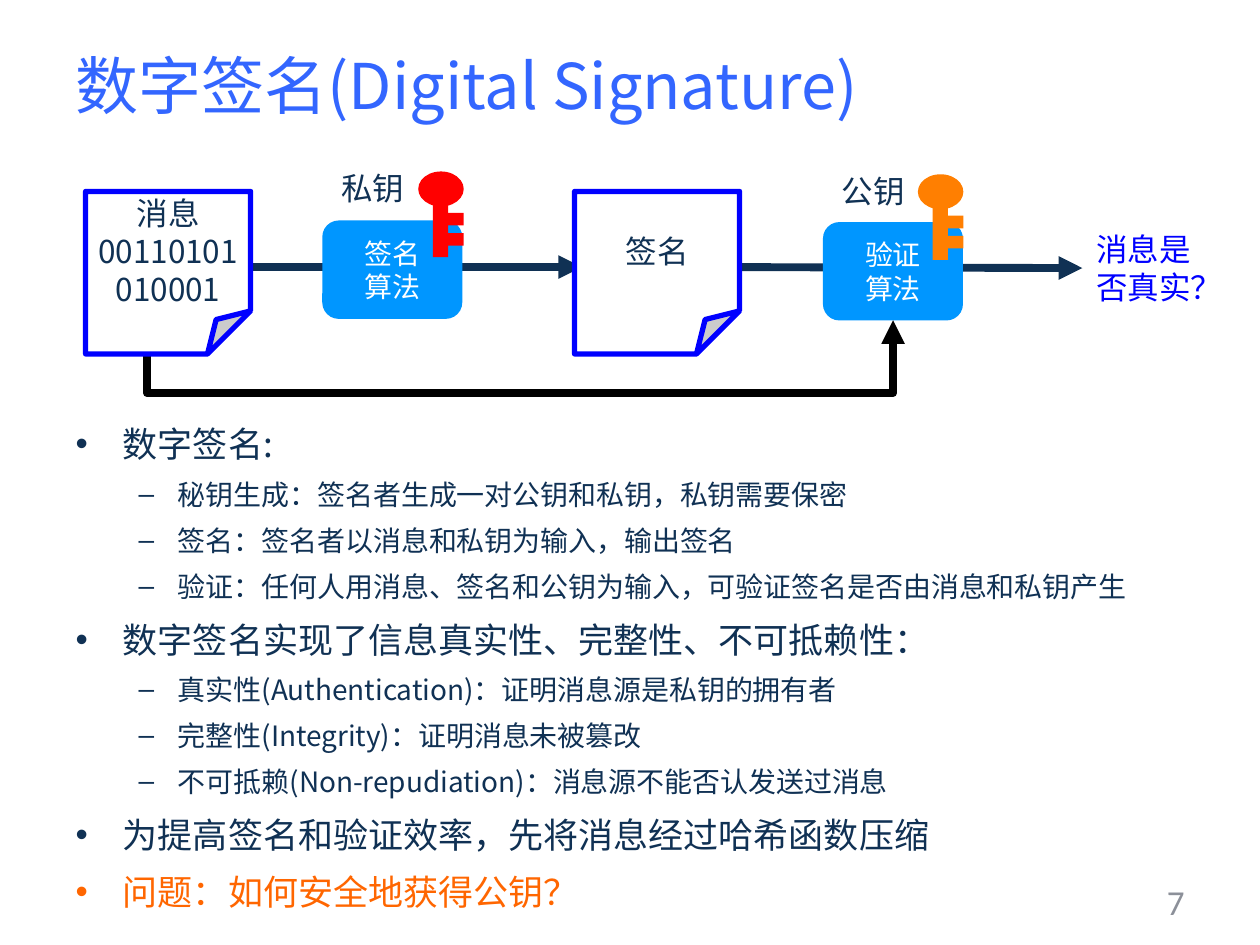
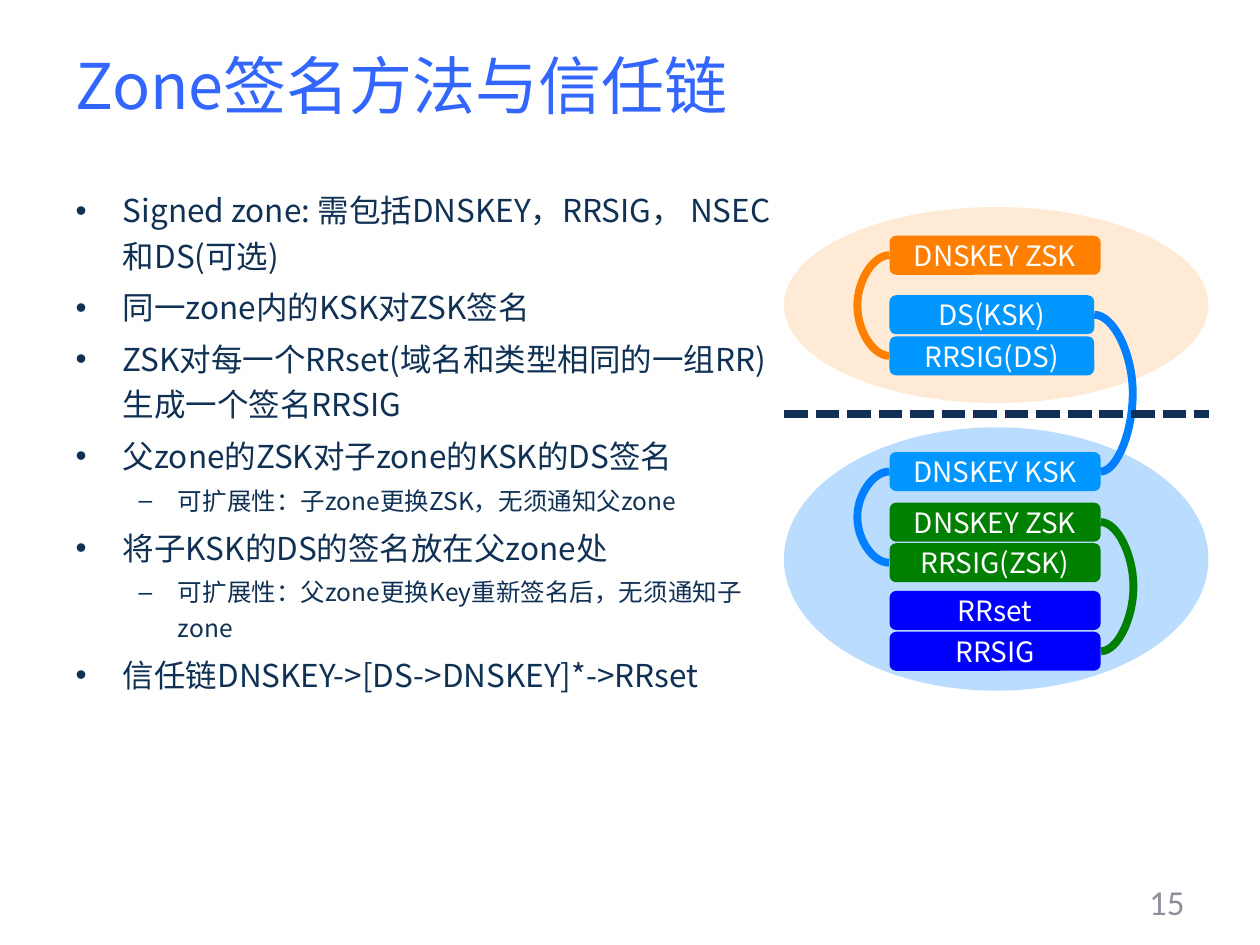
import pptx
import pptx.util
import pptx.dml.color
import pptx.enum.dml
import pptx.enum.shapes
import pptx.enum.text
import pptx.oxml
import pptx.oxml.ns
import lxml.etree

Pt = pptx.util.Pt
PRESET = pptx.enum.shapes.MSO_SHAPE
CONNECTOR = pptx.enum.shapes.MSO_CONNECTOR
ALIGN = pptx.enum.text.PP_ALIGN
ANCHOR = pptx.enum.text.MSO_ANCHOR
qn = pptx.oxml.ns.qn

CJK_FONT = "Noto Sans CJK SC"
NUMBER_FONT = "Calibri"
TITLE_BLUE = "3366FF"
NAVY = "103154"
GREY = "8C9099"
WHITE = "FFFFFF"
BLACK = "000000"
SKY = "0096FF"
LINK_BLUE = "0080FF"
PURE_BLUE = "0000FF"
GREEN = "008000"
RED = "FF0000"
ORANGE = "FF7F01"
PEACH = "FFB267"
QUESTION_ORANGE = "FF6600"

STROKE = 4.5
RECORD_LEFT = 508.3
RECORD_HEIGHT = 22.3


def rgb(hex_color):
    return pptx.dml.color.RGBColor.from_string(hex_color)


def style_paragraph(paragraph, size, color, align=None, font=CJK_FONT):
    paragraph.alignment = align
    for run in paragraph.runs:
        run.font.name = font
        run.font.size = Pt(size)
        run.font.color.rgb = rgb(color)
        east_asian = lxml.etree.SubElement(run.font._element, qn("a:ea"))
        east_asian.set("typeface", font)


def write(frame, text, size, color, align=None, font=CJK_FONT):
    frame.text = text
    for paragraph in frame.paragraphs:
        style_paragraph(paragraph, size, color, align, font)


def place(part, left, top, width, height):
    part.left, part.top = Pt(left), Pt(top)
    part.width, part.height = Pt(width), Pt(height)


def add_page(deck, title, number):
    slide = deck.slides.add_slide(deck.slide_layouts[1])
    heading = slide.shapes.title
    place(heading, 36, 3, 648, 90)
    write(heading.text_frame, title, 36, TITLE_BLUE, ALIGN.LEFT)
    heading.text_frame.vertical_anchor = ANCHOR.MIDDLE
    footer = slide.shapes.add_textbox(Pt(516), Pt(500.5), Pt(168), Pt(28.8))
    write(footer.text_frame, number, 20, GREY, ALIGN.RIGHT, NUMBER_FONT)
    footer.text_frame.word_wrap = True
    footer.text_frame.vertical_anchor = ANCHOR.MIDDLE
    return slide


def fill_body(slide, box, points, sizes):
    body = slide.placeholders[1]
    place(body, *box)
    frame = body.text_frame
    frame.auto_size = pptx.enum.text.MSO_AUTO_SIZE.NONE
    frame.text = "\n".join(text for level, text in points)
    for paragraph, (level, text) in zip(frame.paragraphs, points):
        paragraph.level = level
        paragraph.line_spacing = 1.2
        style_paragraph(paragraph, sizes[level], NAVY)
    return frame


def add_block(shapes, preset, box, fill=None, text="", size=16, color=WHITE):
    block = shapes.add_shape(preset, *map(Pt, box))
    block.shadow.inherit = False
    block.line.fill.background()
    if fill:
        block.fill.solid()
        block.fill.fore_color.rgb = rgb(fill)
    else:
        block.fill.background()
    if text:
        write(block.text_frame, text, size, color, ALIGN.CENTER)
        block.text_frame.vertical_anchor = ANCHOR.MIDDLE
    return block


def add_label(slide, left, top, text):
    label = slide.shapes.add_textbox(Pt(left), Pt(top), Pt(51), Pt(29))
    write(label.text_frame, text, 18, NAVY)


def set_guide(part, name, ratio):
    geometry = part._element.spPr.find(qn("a:prstGeom"))
    guides = geometry.find(qn("a:avLst"))
    if guides is None:
        guides = lxml.etree.SubElement(geometry, qn("a:avLst"))
    guide = lxml.etree.SubElement(guides, qn("a:gd"))
    guide.set("name", name)
    guide.set("fmla", f"val {round(ratio * 100000)}")


def add_document(slide, left, text):
    page = add_block(slide.shapes, PRESET.FOLDED_CORNER, (left, 109.4, 94.3, 92.9),
                     WHITE, text, 18, NAVY)
    set_guide(page, "adj", 0.265)
    page.line.color.rgb = rgb(PURE_BLUE)
    page.line.width = Pt(3)


def add_key(slide, left, top, color):
    key = slide.shapes.add_group_shape()
    add_block(key.shapes, PRESET.OVAL, (left, top, 26, 20), color)
    add_block(key.shapes, PRESET.RECTANGLE, (left + 8.4, top + 15, 8.8, 34), color)
    for tooth in (23.7, 35.2):
        add_block(key.shapes, PRESET.RECTANGLE, (left + 13, top + tooth, 13, 7.2), color)


def add_line(slide, kind, start, end, color, arrow=False, dash=None, bend=None):
    line = slide.shapes.add_connector(kind, *map(Pt, start + end))
    line.line.color.rgb = rgb(color)
    line.line.width = Pt(STROKE)
    if dash:
        line.line.dash_style = dash
    properties = line._element.spPr
    if arrow:
        tail = lxml.etree.SubElement(properties.find(qn("a:ln")), qn("a:tailEnd"))
        tail.set("type", "triangle")
    if bend is not None:
        set_guide(line, "adj1", bend)
    lxml.etree.SubElement(properties, qn("a:effectLst"))
    return line


def add_detour(slide, start, end, low):
    (x1, y1), (x2, y2) = start, end
    run, rise = x2 - x1, y2 - y1
    center_x, center_y = (x1 + x2) / 2, (y1 + y2) / 2
    detour = add_line(slide, CONNECTOR.ELBOW,
                      (center_x + rise / 2, center_y - run / 2),
                      (center_x - rise / 2, center_y + run / 2),
                      BLACK, arrow=True, bend=(low - y1) / rise)
    detour._element.spPr.find(qn("a:xfrm")).set("rot", "16200000")


def add_arc(slide, start, end, reach, color):
    add_line(slide, CONNECTOR.CURVE, start, end, color,
             bend=(reach - start[0]) / (end[0] - start[0]))


def add_zone(slide, top, height, color):
    zone = add_block(slide.shapes, PRESET.OVAL, (448, top, 242.6, height), color)
    tint = zone._element.spPr.find(qn("a:solidFill"))[0]
    lxml.etree.SubElement(tint, qn("a:alpha")).set("val", "27000")


def build_signature(deck):
    slide = add_page(deck, "数字签名(Digital Signature)", "7")
    points = [
        (0, "数字签名:"),
        (1, "秘钥生成：签名者生成一对公钥和私钥，私钥需要保密"),
        (1, "签名：签名者以消息和私钥为输入，输出签名"),
        (1, "验证：任何人用消息、签名和公钥为输入，可验证签名是否由消息和私钥产生"),
        (0, "数字签名实现了信息真实性、完整性、不可抵赖性："),
        (1, "真实性(Authentication)：证明消息源是私钥的拥有者"),
        (1, "完整性(Integrity)：证明消息未被篡改"),
        (1, "不可抵赖(Non-repudiation)：消息源不能否认发送过消息"),
        (0, "为提高签名和验证效率，先将消息经过哈希函数压缩"),
        (0, "问题：如何安全地获得公钥？"),
    ]
    frame = fill_body(slide, (36, 233.3, 648, 255), points, (20, 16))
    frame.paragraphs[-1].runs[0].font.color.rgb = rgb(QUESTION_ORANGE)

    stages = [
        ("私钥", 188, 93, "签名\n算法", 184.2, 126, RED, 239, 98, 121.7, 332.6, 152.6),
        ("公钥", 474, 94.5, "验证\n算法", 470.3, 126.9, ORANGE, 524.5, 99.6, 408, 618.5, 153.2),
    ]
    for (key_name, label_left, label_top, step, left, top, color,
         key_left, key_top, flow_start, flow_end, flow_y) in stages:
        add_label(slide, label_left, label_top, key_name)
        add_line(slide, CONNECTOR.STRAIGHT, (flow_start, 152.6), (flow_end, flow_y),
                 NAVY, arrow=True)
        add_block(slide.shapes, PRESET.ROUNDED_RECTANGLE, (left, top, 80, 56.2), SKY, step)
        add_key(slide, key_left, key_top, color)
    add_detour(slide, (84, 175.7), (510.3, 183), 224.6)
    add_block(slide.shapes, PRESET.ROUNDED_RECTANGLE, (606.2, 95.8, 94.3, 114.5),
              None, "消息是否真实？", 18, PURE_BLUE)
    add_document(slide, 328.3, "签名")
    add_document(slide, 48.9, "消息\n00110101010001")


def build_trust_chain(deck):
    slide = add_page(deck, "Zone签名方法与信任链", "15")
    points = [
        (0, "Signed zone: 需包括DNSKEY，RRSIG， NSEC和DS(可选)"),
        (0, "同一zone内的KSK对ZSK签名"),
        (0, "ZSK对每一个RRset(域名和类型相同的一组RR)生成一个签名RRSIG"),
        (0, "父zone的ZSK对子zone的KSK的DS签名"),
        (1, "可扩展性：子zone更换ZSK，无须通知父zone"),
        (0, "将子KSK的DS的签名放在父zone处"),
        (1, "可扩展性：父zone更换Key重新签名后，无须通知子zone"),
        (0, "信任链DNSKEY->[DS->DNSKEY]*->RRset"),
    ]
    fill_body(slide, (36, 101.5, 412, 417), points, (18, 14))
    add_zone(slide, 118.3, 112, PEACH)
    add_zone(slide, 244.2, 150.5, LINK_BLUE)

    wide, narrow = 120.6, 117
    records = [
        ("DNSKEY ZSK", 134.7, wide, ORANGE),
        ("DS(KSK)", 168.7, narrow, SKY),
        ("RRSIG(DS)", 192.2, narrow, SKY),
        ("DNSKEY KSK", 258.3, wide, SKY),
        ("DNSKEY ZSK", 287.2, wide, GREEN),
        ("RRSIG(ZSK)", 310.4, wide, GREEN),
        ("RRset", 337.7, wide, PURE_BLUE),
        ("RRSIG", 361, wide, PURE_BLUE),
    ]
    for name, top, width, color in records:
        add_block(slide.shapes, PRESET.ROUNDED_RECTANGLE,
                  (RECORD_LEFT, top, width, RECORD_HEIGHT), color, name)
    (parent_zsk, parent_ds, ds_signature, child_ksk,
     child_zsk, zsk_signature, _, set_signature) = [
        top + RECORD_HEIGHT / 2 for name, top, width, color in records]

    left, right, step = RECORD_LEFT, RECORD_LEFT + wide, 0.25
    add_arc(slide, (left, child_ksk), (left - step, zsk_signature), 490.3, LINK_BLUE)
    add_arc(slide, (left, parent_zsk), (left - step, ds_signature), 490.3, ORANGE)
    add_arc(slide, (left + narrow, parent_ds), (right, child_ksk), 647.3, LINK_BLUE)
    add_arc(slide, (right, child_zsk), (right + step, set_signature), 647.3, GREEN)
    add_line(slide, CONNECTOR.STRAIGHT, (448, 236.7), (690.6, 236.7), NAVY,
             dash=pptx.enum.dml.MSO_LINE.SQUARE_DOT)


def main():
    deck = pptx.Presentation()
    deck.slide_width, deck.slide_height = Pt(720), Pt(540)
    build_signature(deck)
    build_trust_chain(deck)
    deck.save("out.pptx")


main()
